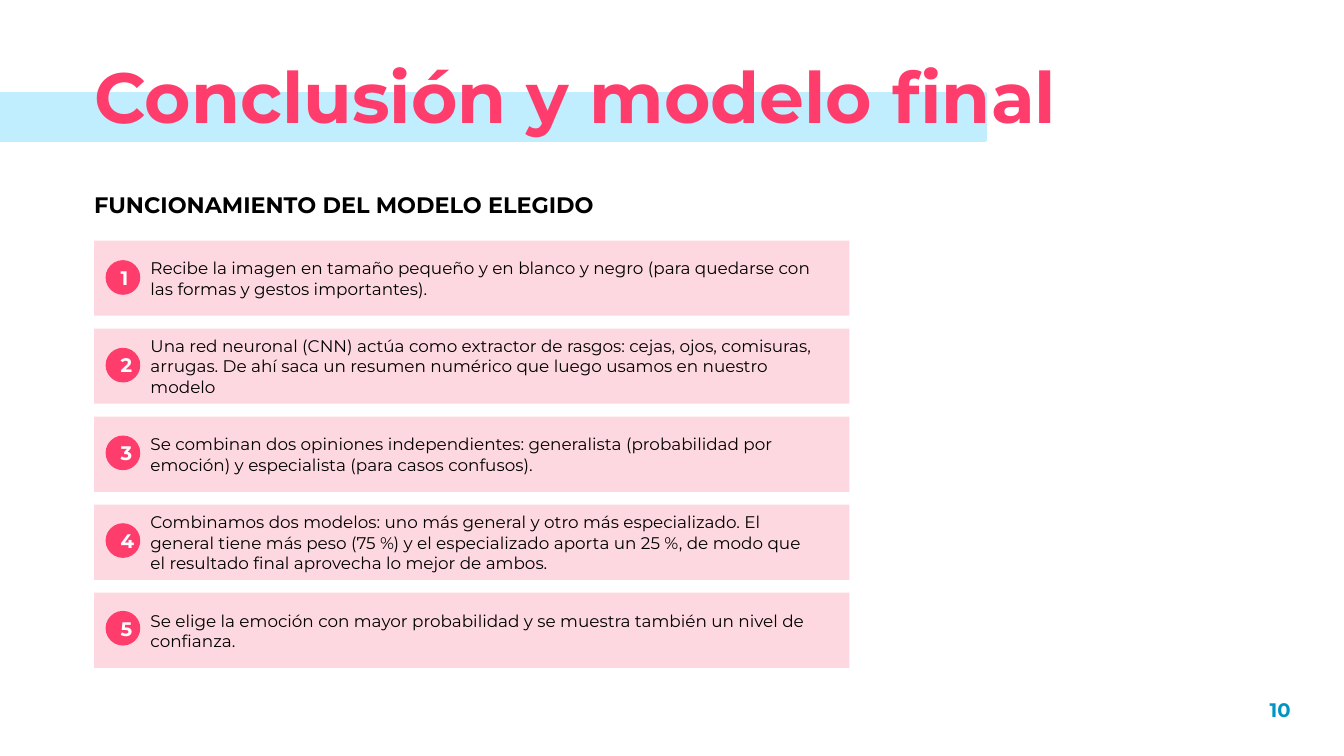
from dataclasses import dataclass
from typing import Any

import pptx
import pptx.dml.color
import pptx.enum.shapes
import pptx.enum.text
import pptx.util

Inches = pptx.util.Inches
Align = pptx.enum.text.PP_ALIGN
Anchor = pptx.enum.text.MSO_ANCHOR
Preset = pptx.enum.shapes.MSO_SHAPE

COLORS = {
    "band": "C0EEFE",
    "accent": "FF3D6D",
    "card": "FED8E1",
    "page_number": "0094C5",
    "black": "000000",
    "white": "FFFFFF",
}
NO_MARGINS = (0, 0, 0, 0)
DEFAULT_MARGINS = (0.1, 0.05, 0.1, 0.05)


@dataclass(frozen=True)
class Area:
    left: float
    top: float
    width: float
    height: float

    def lengths(self) -> list[int]:
        return [Inches(v) for v in (self.left, self.top, self.width, self.height)]


@dataclass(frozen=True)
class TextStyle:
    size: float
    color: str
    bold: bool = False
    align: Any = Align.LEFT
    anchor: Any = Anchor.MIDDLE
    margins: tuple = NO_MARGINS


@dataclass(frozen=True)
class Step:
    text: str
    lines: int


TITLE = TextStyle(38, "accent", bold=True)
HEADING = TextStyle(12, "black", bold=True)
BODY = TextStyle(9, "black")
BADGE = TextStyle(10.5, "white", True, Align.CENTER, margins=DEFAULT_MARGINS)
PAGE_NUMBER = TextStyle(10.5, "page_number", True, Align.RIGHT, Anchor.TOP, DEFAULT_MARGINS)

STEPS = [
    Step("Recibe la imagen en tamaño pequeño y en blanco y negro (para quedarse "
         "con las formas y gestos importantes).", 2),
    Step("Una red neuronal (CNN) actúa como extractor de rasgos: cejas, ojos, "
         "comisuras, arrugas. De ahí saca un resumen numérico que luego usamos "
         "en nuestro modelo", 3),
    Step("Se combinan dos opiniones independientes: generalista (probabilidad "
         "por emoción) y especialista (para casos confusos).", 2),
    Step("Combinamos dos modelos: uno más general y otro más especializado. El "
         "general tiene más peso (75 %) y el especializado aporta un 25 %, de "
         "modo que el resultado final aprovecha lo mejor de ambos.", 3),
    Step("Se elige la emoción con mayor probabilidad y se muestra también un "
         "nivel de confianza.", 2),
]
FIRST_CARD_TOP, LAST_CARD_TOP = 1.79, 4.41
FIRST_BADGE_TOP, LAST_BADGE_TOP = 1.95, 4.56
CARD_HEIGHT = 0.56
BADGE_SIZE = 0.23
LINE_HEIGHT = 0.15


def rgb(name: str) -> pptx.dml.color.RGBColor:
    return pptx.dml.color.RGBColor.from_string(COLORS[name])


def write_text(shape: Any, text: str, style: TextStyle) -> None:
    frame = shape.text_frame
    left, top, right, bottom = (Inches(margin) for margin in style.margins)
    frame_format = {
        "word_wrap": True, "vertical_anchor": style.anchor,
        "margin_left": left, "margin_top": top,
        "margin_right": right, "margin_bottom": bottom,
    }
    for name, value in frame_format.items():
        setattr(frame, name, value)
    para = frame.paragraphs[0]
    para.alignment = style.align
    span = para.add_run()
    span.text = text
    font_format = {"name": "Montserrat", "size": pptx.util.Pt(style.size), "bold": style.bold}
    for name, value in font_format.items():
        setattr(span.font, name, value)
    span.font.color.rgb = rgb(style.color)


def add_text(page: Any, area: Area, text: str, style: TextStyle) -> None:
    box = page.shapes.add_textbox(*area.lengths())
    write_text(box, text, style)
    box.text_frame.auto_size = pptx.enum.text.MSO_AUTO_SIZE.SHAPE_TO_FIT_TEXT


def add_filled(page: Any, preset: Any, area: Area, color: str, outlined: bool) -> Any:
    shape = page.shapes.add_shape(preset, *area.lengths())
    shape.shadow.inherit = False
    shape.fill.solid()
    shape.fill.fore_color.rgb = rgb(color)
    if outlined:
        shape.line.color.rgb = rgb(color)
        shape.line.width = pptx.util.Pt(2)
    else:
        shape.line.fill.background()
    return shape


def spread(first: float, last: float, index: int) -> float:
    """Return the top of the step at index, with equal gaps from first to last."""
    return first + (last - first) * index / (len(STEPS) - 1)


def add_card(page: Any, index: int, step: Step) -> None:
    top = spread(FIRST_CARD_TOP, LAST_CARD_TOP, index)
    add_filled(page, Preset.RECTANGLE, Area(0.7, top, 5.62, CARD_HEIGHT), "card", False)
    text_height = step.lines * LINE_HEIGHT
    text_top = top + (CARD_HEIGHT - text_height) / 2
    add_text(page, Area(1.12, text_top, 4.94, text_height), step.text, BODY)


def add_badge(page: Any, index: int) -> None:
    top = spread(FIRST_BADGE_TOP, LAST_BADGE_TOP, index)
    area = Area(0.8, top, BADGE_SIZE, BADGE_SIZE)
    badge = add_filled(page, Preset.OVAL, area, "accent", True)
    write_text(badge, str(index + 1), BADGE)


def main() -> None:
    deck = pptx.Presentation()
    deck.slide_width = Inches(10)
    deck.slide_height = deck.slide_width * 9 // 16
    page = deck.slides.add_slide(deck.slide_layouts[6])
    add_filled(page, Preset.RECTANGLE, Area(0, 0.7, 7.33, 0.34), "band", True)
    add_text(page, Area(0.7, 0.39, 7.86, 0.64), "Conclusión y modelo final", TITLE)
    add_text(page, Area(8.01, 5.14, 1.69, 0.28), "10", PAGE_NUMBER)
    add_text(page, Area(0.7, 1.42, 4.38, 0.2), "FUNCIONAMIENTO DEL MODELO ELEGIDO", HEADING)
    for index, step in enumerate(STEPS):
        add_card(page, index, step)
    for index in range(len(STEPS)):
        add_badge(page, index)
    deck.save("out.pptx")


if __name__ == "__main__":
    main()
